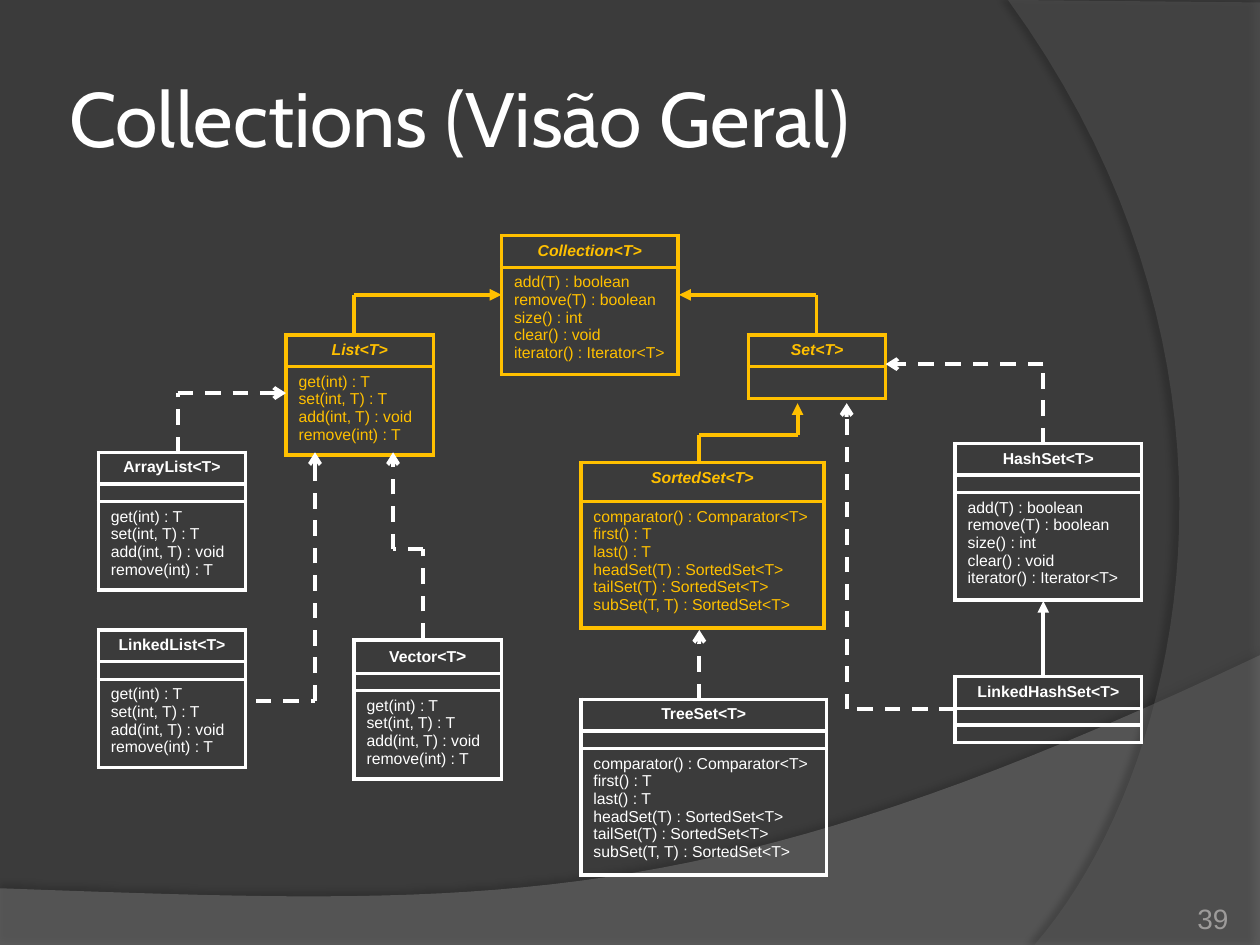
"""Build the class overview slide of the Java collections."""
from lxml.etree import SubElement as Sub
from pptx import Presentation
from pptx.dml.color import RGBColor
from pptx.enum.dml import MSO_LINE as Dash
from pptx.enum.shapes import MSO_CONNECTOR as Conn
from pptx.enum.text import MSO_ANCHOR as Anchor, PP_ALIGN as Align
from pptx.oxml import parse_xml
from pptx.oxml.ns import nsdecls, qn
from pptx.util import Inches, Pt

DARK = RGBColor(0x3B, 0x3B, 0x3B)
WAVE = RGBColor(0x7F, 0x7F, 0x7F)
SIDE = RGBColor(0x5E, 0x5E, 0x5E)
GOLD = RGBColor(0xFF, 0xC0, 0x00)
WHITE = RGBColor(0xFF, 0xFF, 0xFF)
PALE = RGBColor(0x9D, 0x9B, 0x9A)

BASE = ["add(T) : boolean", "remove(T) : boolean", "size() : int",
        "clear() : void", "iterator() : Iterator<T>"]
LIST = ["get(int) : T", "set(int, T) : T", "add(int, T) : void", "remove(int) : T"]
SORT = ["comparator() : Comparator<T>", "first() : T", "last() : T",
        "headSet(T) : SortedSet<T>", "tailSet(T) : SortedSet<T>",
        "subSet(T, T) : SortedSet<T>"]

HEAD, GAP, PAD, STEP = 0.24, 0.14, 0.1, 0.14


def put(item, values):
    for name, value in values.items():
        setattr(item, name, value)


def curve(a, b, c, d, steps=40):
    for i in range(steps + 1):
        t = i / steps
        u = 1 - t
        yield tuple(u**3 * p + 3 * u * u * t * q + 3 * u * t * t * r + t**3 * s
                    for p, q, r, s in zip(a, b, c, d))


class Board:
    """Hold the style and the current slide."""

    def __init__(self, slide, font="Arial", width=2.25):
        self.slide, self.font, self.width = slide, font, Pt(width)
        fill = slide.background.fill
        fill.solid()
        fill.fore_color.rgb = DARK

    def words(self, para, text, size, color, **style):
        run = para.add_run()
        run.text = text
        put(run.font, {"name": self.font, "size": Pt(size), **style})
        run.font.color.rgb = color

    def swoosh(self, points, color, alpha, shade, dist, angle):
        spots = [(Inches(x), Inches(y)) for x, y in points]
        build = self.slide.shapes.build_freeform(*spots[0])
        build.add_line_segments(spots[1:], close=True)
        shape = build.convert_to_shape()
        shape.line.fill.background()
        shape.fill.solid()
        shape.fill.fore_color.rgb = color
        props = shape._element.spPr
        tint = props.find(qn("a:solidFill"))[0]
        Sub(tint, qn("a:alpha"), val=str(alpha * 1000))
        props.append(parse_xml(
            f'<a:effectLst {nsdecls("a")}><a:outerShdw blurRad="{Pt(4)}" dist="{Pt(dist)}" '
            f'dir="{angle * 60000}" algn="ctr" rotWithShape="0"><a:srgbClr val="000000">'
            f'<a:alpha val="{shade * 1000}"/></a:srgbClr></a:outerShdw></a:effectLst>'))

    def label(self, text, place, size, color, anchor, inset=0, align=Align.LEFT, **style):
        frame = self.slide.shapes.add_textbox(*map(Inches, place)).text_frame
        sides = ("margin_left", "margin_top", "margin_right", "margin_bottom")
        put(frame, {"word_wrap": True, "vertical_anchor": anchor,
                    **dict.fromkeys(sides, Inches(inset))})
        para = frame.paragraphs[0]
        para.alignment = align
        self.words(para, text, size, color, **style)

    def edge(self, cell, color):
        cell.fill.background()
        props = cell._tc.get_or_add_tcPr()
        for i, side in enumerate(("lnL", "lnR", "lnT", "lnB")):
            props.insert(i, parse_xml(
                f'<a:{side} {nsdecls("a")} w="{self.width}"><a:solidFill>'
                f'<a:srgbClr val="{color}"/></a:solidFill></a:{side}>'))

    def blank(self, cell, size):
        para = cell.text_frame.paragraphs[0]
        Sub(para._p, qn("a:endParaRPr"), sz=str(size * 100))

    def card(self, name, x, y, width, parts, color=WHITE, head=HEAD, end=""):
        highs = [head] + [PAD + STEP * len(p) if isinstance(p, list) else p for p in parts]
        table = self.slide.shapes.add_table(
            len(highs), 1, *map(Inches, (x, y, width, sum(highs)))).table
        put(table, {"first_row": False, "horz_banding": False})
        for row, high in zip(table.rows, highs):
            row.height = Inches(high)
            self.edge(row.cells[0], color)
        title = table.cell(0, 0).text_frame.paragraphs[0]
        title.alignment = Align.CENTER
        slant = {"italic": True} if color == GOLD else {}
        self.words(title, name, 9, color, bold=True, **slant)
        if end:
            self.words(title, end, 10, color, bold=True)
        for i, part in enumerate(parts, 1):
            cell = table.cell(i, 0)
            if not isinstance(part, list):
                self.blank(cell, 9 if part == HEAD else 2)
                continue
            frame = cell.text_frame
            for j, line in enumerate(part):
                para = frame.add_paragraph() if j else frame.paragraphs[0]
                self.words(para, line, 9, color)

    def route(self, *points, color=WHITE, dash=True, tip="arrow"):
        for i, (a, b) in enumerate(zip(points, points[1:]), 2):
            link = self.slide.shapes.add_connector(Conn.STRAIGHT, *map(Inches, a + b))
            link.line.color.rgb = color
            put(link.line, {"width": self.width, **({"dash_style": Dash.DASH} if dash else {})})
            props = link._element.spPr
            if i == len(points):
                Sub(props.find(qn("a:ln")), qn("a:tailEnd"), type=tip)
            Sub(props, qn("a:effectLst"))


def main():
    deck = Presentation()
    put(deck, {"slide_width": Inches(10), "slide_height": Inches(7.5)})
    board = Board(deck.slides.add_slide(deck.slide_layouts[6]))

    board.swoosh([(0, 7.51), (10, 7.51),
                  *curve((10, 5.2), (5.59, 7.29), (3.91, 7.19), (0, 7.05))],
                 WAVE, 45, 35, 3.5, 270)
    board.swoosh([(10, 0.02), (10, 7.5),
                  *curve((8.21, 7.5), (9.35, 6.19), (10.18, 3), (8, 0))],
                 SIDE, 40, 45, 4, 180)
    board.label("Collections (Visão Geral)", (0.5, 0.3, 8.83, 1.25), 44, WHITE,
                Anchor.MIDDLE, 0.05, name="Cabin")

    board.card("Collection<T>", 3.98, 1.87, 1.4, [BASE], GOLD)
    board.card("Set<T>", 5.94, 2.66, 1.09, [HEAD], GOLD)
    board.card("List<T>", 2.27, 2.66, 1.17, [LIST], GOLD)
    board.card("SortedSet<T>", 4.61, 3.67, 1.93, [SORT], GOLD, head=0.31)
    board.label("39", (8.92, 7.02, 0.83, 0.4), 16, PALE, Anchor.BOTTOM, align=Align.RIGHT)
    board.card("ArrayList<T>", 0.78, 3.59, 1.17, [GAP, LIST])
    board.card("LinkedList<T>", 0.78, 5, 1.17, [GAP, LIST])
    board.card("Vector<T", 2.81, 5.08, 1.17, [0.12, LIST], end=">")
    board.card("HashSet<T>", 7.58, 3.52, 1.48, [GAP, BASE])
    board.card("LinkedHashSet<T>", 7.58, 5.37, 1.48, [0.12, GAP])
    board.card("TreeSet<T>", 4.61, 5.55, 1.95, [GAP, SORT])

    solid = {"dash": False, "tip": "triangle"}
    gold = {"color": GOLD, **solid}
    board.route((2.81, 2.66), (2.81, 2.34), (3.98, 2.34), **gold)
    board.route((6.48, 2.66), (6.48, 2.34), (5.39, 2.34), **gold)
    board.route((1.41, 3.59), (1.41, 3.12), (2.27, 3.12))
    board.route((2.03, 5.56), (2.5, 5.56), (2.5, 3.59))
    board.route((3.36, 5.07), (3.36, 4.36), (3.12, 4.36), (3.12, 3.59))
    board.route((5.55, 3.67), (5.55, 3.45), (6.33, 3.45), (6.33, 3.2), **gold)
    board.route((5.55, 5.55), (5.55, 5))
    board.route((8.28, 3.52), (8.28, 2.89), (7.03, 2.89))
    board.route((7.58, 5.63), (6.72, 5.63), (6.72, 3.2))
    board.route((8.28, 5.37), (8.28, 4.77), **solid)
    deck.save("out.pptx")


if __name__ == "__main__":
    main()
